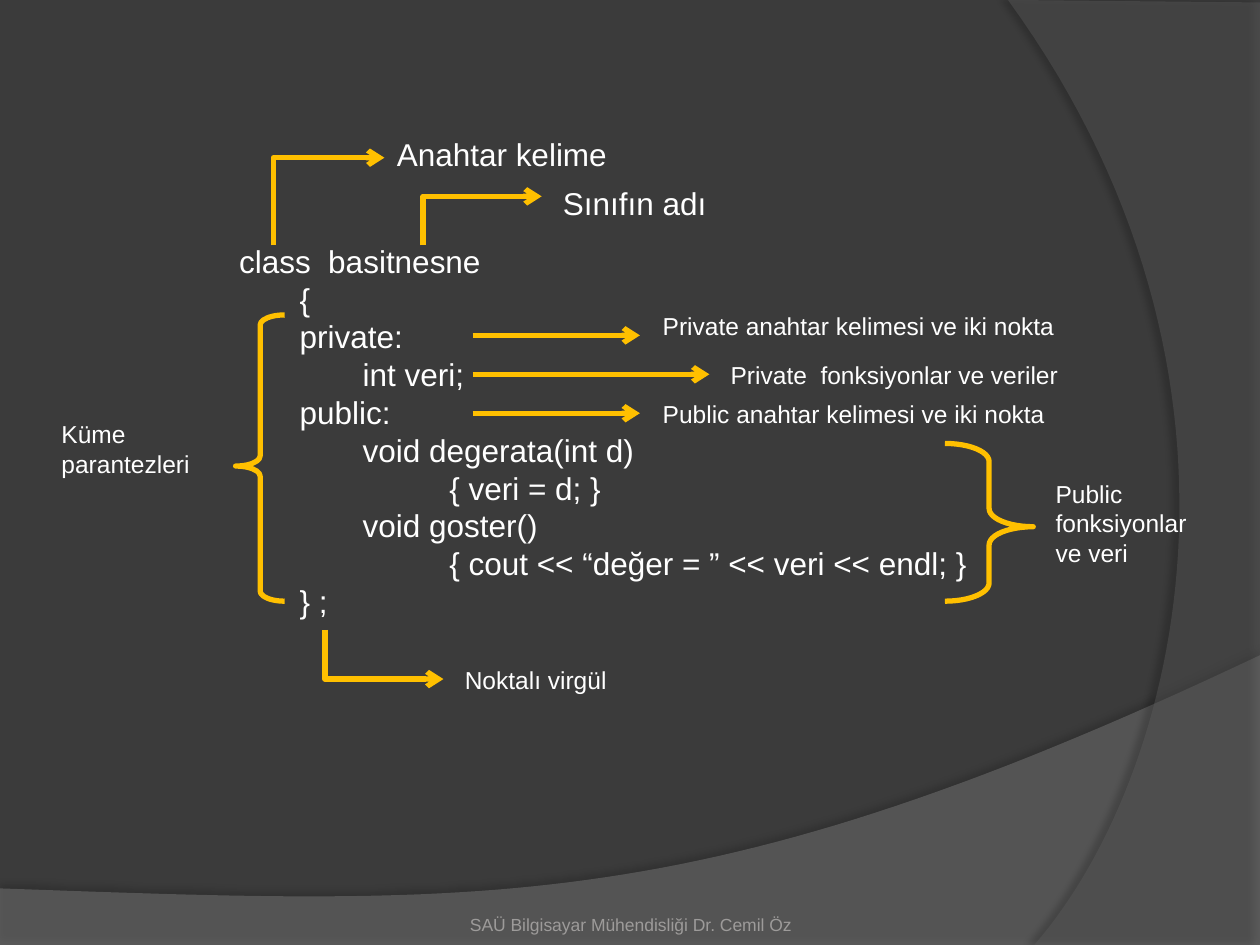
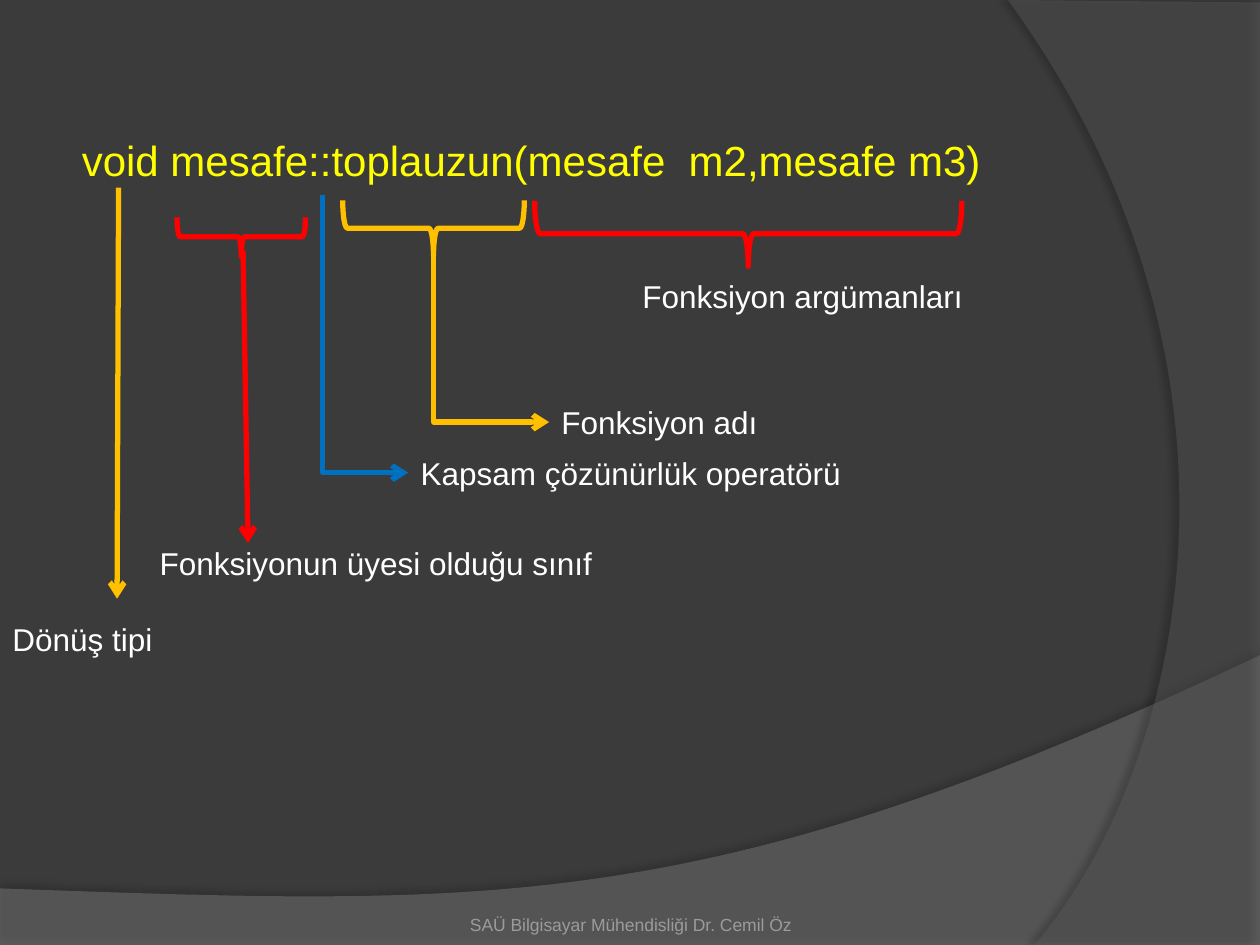
from lxml import etree
from pptx import Presentation
from pptx.dml.color import RGBColor
from pptx.enum.shapes import MSO_CONNECTOR, MSO_SHAPE
from pptx.enum.text import MSO_ANCHOR, PP_ALIGN
from pptx.oxml.ns import qn
from pptx.util import Cm, Pt

LINE = MSO_CONNECTOR.STRAIGHT
ELBOW = MSO_CONNECTOR.ELBOW
LEFT = MSO_SHAPE.LEFT_BRACE
RIGHT = MSO_SHAPE.RIGHT_BRACE
TOP, BOTTOM = MSO_ANCHOR.TOP, MSO_ANCHOR.BOTTOM
START, CENTER = PP_ALIGN.LEFT, PP_ALIGN.CENTER

FONT = "Arial"
BACK, WHITE, GREY = "3B3B3B", "FFFFFF", "9D9B9A"
GOLD, RED, BLUE, YELLOW = "FFC000", "FF0000", "0070C0", "FFFF00"
WIDTH, HEIGHT = 25.4, 19.05
FOOTER = "SAÜ Bilgisayar Mühendisliği Dr. Cemil Öz"
TABS = (1.22, 2.49, 4.24)
CODE = """class  basitnesne
\t{
\tprivate:
\t\tint veri;
\tpublic:
\t\tvoid degerata(int d)
\t\t\t{ veri = d; }
\t\tvoid goster()
\t\t\t{ cout << “değer = ” << veri << endl; }
\t} ;"""


def color(code):
    return RGBColor.from_string(code)


def child(node, tag, **attrs):
    return etree.SubElement(node, qn(tag), {k: str(v) for k, v in attrs.items()})


def shift(box, x, y):
    return box[0] + x, box[1] + y


def write(slide, text, spot, size, pt=18, ink=WHITE, align=START,
          anchor=TOP, inset=None, tabs=()):
    frame = slide.shapes.add_textbox(*map(Cm, spot + size)).text_frame
    frame.word_wrap = True
    frame.vertical_anchor = anchor
    if inset:
        (frame.margin_left, frame.margin_top,
         frame.margin_right, frame.margin_bottom) = map(Cm, inset)
    for i, line in enumerate(text.split("\n")):
        para = frame.add_paragraph() if i else frame.paragraphs[0]
        para.alignment = align
        if tabs:
            stops = child(para._p.get_or_add_pPr(), "a:tabLst")
            for stop in tabs:
                child(stops, "a:tab", pos=Cm(stop), algn="l")
        run = para.add_run()
        run.text = line
        run.font.name = FONT
        run.font.size = Pt(pt)
        run.font.color.rgb = color(ink)


def arrow(slide, start, end, ink=GOLD, kind=LINE):
    link = slide.shapes.add_connector(kind, *map(Cm, start + end))
    link.line.color.rgb = color(ink)
    link.line.width = Pt(3)
    props = link._element.spPr
    child(props.find(qn("a:ln")), "a:tailEnd", type="arrow")
    child(props, "a:effectLst")
    if kind == ELBOW:
        guides = props.find(qn("a:prstGeom")).get_or_add_avLst()
        child(guides, "a:gd", name="adj1", fmla="val 0")


def brace(slide, spot, size, ink=GOLD, kind=LEFT, bend=None, down=False):
    (x, y), (w, h) = spot, size
    if down:
        x, y, w, h = x + (w - h) / 2, y + (h - w) / 2, h, w
    shape = slide.shapes.add_shape(kind, Cm(x), Cm(y), Cm(w), Cm(h))
    shape.rotation = 270 if down else 0
    shape.shadow.inherit = False
    shape.fill.background()
    shape.line.color.rgb = color(ink)
    shape.line.width = Pt(3)
    if bend:
        shape.adjustments[0], shape.adjustments[1] = bend


def curve(a, b, c, d, steps=60):
    for i in range(1, steps + 1):
        t = i / steps
        s = 1 - t
        yield tuple(s**3 * p + 3 * s * s * t * q + 3 * s * t * t * r + t**3 * v
                    for p, q, r, v in zip(a, b, c, d))


def band(slide, edge, bow, ink, alpha, shade, dist, angle):
    points = [*edge, *curve(edge[-1], *bow)]
    first, *rest = [(Cm(x), Cm(y)) for x, y in points]
    path = slide.shapes.build_freeform(*first)
    path.add_line_segments(rest, close=True)
    shape = path.convert_to_shape()
    shape.line.fill.background()
    shape.fill.solid()
    shape.fill.fore_color.rgb = color(ink)
    shape.shadow.inherit = False
    props = shape._element.spPr
    tint = props.find(qn("a:solidFill"))[0]
    child(tint, "a:alpha", val=alpha * 1000)
    cast = child(props.find(qn("a:effectLst")), "a:outerShdw", blurRad=Pt(4),
                 dist=Pt(dist), dir=angle * 60000, algn="ctr", rotWithShape=0)
    dark = child(cast, "a:srgbClr", val="000000")
    child(dark, "a:alpha", val=shade * 1000)


def base(deck):
    slide = deck.slides.add_slide(deck.slide_layouts[6])
    fill = slide.background.fill
    fill.solid()
    fill.fore_color.rgb = color(BACK)
    band(slide, [(0, 17.91), (0, HEIGHT), (WIDTH, HEIGHT), (WIDTH, 13.21)],
         [(14.2, 18.52), (9.93, 18.26), (0, 17.91)], "7F7F7F", 45, 35, 3.5, 270)
    band(slide, [(WIDTH, 0.05), (WIDTH, HEIGHT), (20.85, HEIGHT)],
         [(23.75, 15.72), (25.86, 7.62), (20.32, 0)], "5E5E5E", 40, 45, 4, 180)
    write(slide, FOOTER, (8.69, 17.83), (8.05, 1.02), pt=10, ink=GREY,
          align=CENTER, anchor=BOTTOM, inset=(0, 0.13, 0, 0))
    return slide


def class_parts(slide, box):
    write(slide, CODE, shift(box, 3.58, 2.16), (17.27, 8.71), tabs=TABS)
    for start, end in (((7.54, 2.36), (9.93, 1.37)),
                       ((4.52, 2.36), (6.76, 0.59)),
                       ((5.56, 10.11), (7.95, 11.1))):
        arrow(slide, shift(box, *start), shift(box, *end), kind=ELBOW)
    for text, x, y in (("Anahtar kelime", 6.76, 0), ("Sınıfın adı", 10.11, 0.99)):
        write(slide, text, shift(box, x, y), (4.95, 1.02))
    for i, tip in enumerate((11.91, 13.31, 11.91)):
        y = 4.17 + 0.785 * i
        arrow(slide, shift(box, 8.54, y), shift(box, tip, y))
    for text, x, y, w, h in (
            ("Private anahtar kelimesi ve iki nokta", 12.12, 3.56, 9.12, 0.86),
            ("Private  fonksiyonlar ve veriler", 13.49, 4.55, 9.12, 0.86),
            ("Public anahtar kelimesi ve iki nokta", 12.12, 5.33, 9.12, 0.86),
            ("Public fonksiyonlar ve veri", 20.04, 6.94, 3.38, 2.06),
            ("Küme parantezleri", 0, 5.74, 3.38, 1.45),
            ("Noktalı virgül", 8.13, 10.69, 9.12, 0.86)):
        write(slide, text, shift(box, x, y), (w, h), pt=14)
    bend = (0.206, 0.528)
    brace(slide, shift(box, 18.06, 6.35), (1.78, 3.18), kind=RIGHT, bend=bend)
    brace(slide, shift(box, 3.76, 3.76), (0.99, 5.77), bend=bend)


def method_parts(slide, box):
    write(slide, "void mesafe::toplauzun(mesafe  m2,mesafe m3)",
          shift(box, 1.4, 0), (23.01, 1.27), pt=24, ink=YELLOW)
    for x, y, w, h, ink in ((3.57, 1.79, 2.59, 0.79, RED),
                            (6.91, 1.45, 3.66, 1.12, GOLD),
                            (10.78, 1.46, 8.61, 1.32, RED)):
        brace(slide, shift(box, x, y), (w, h), ink=ink, down=True)
    for start, end, ink, kind in (
            ((2.39, 1.19), (2.36, 9.48), GOLD, LINE),
            ((4.9, 2.46), (5, 8.36), RED, LINE),
            ((6.5, 1.35), (8.23, 6.94), BLUE, ELBOW),
            ((8.74, 2.26), (11.07, 5.92), GOLD, ELBOW)):
        arrow(slide, shift(box, *start), shift(box, *end), ink, kind)
    for text, x, y, w in (
            ("Dönüş tipi", 0, 9.78, 4.17),
            ("Fonksiyonun üyesi olduğu sınıf", 2.97, 8.26, 9.73),
            ("Kapsam çözünürlük operatörü", 8.23, 6.43, 9.73),
            ("Fonksiyon adı", 11.07, 5.41, 9.73),
            ("Fonksiyon argümanları", 12.7, 2.87, 9.73)):
        write(slide, text, shift(box, x, y), (w, 1.02))


def main():
    deck = Presentation()
    deck.slide_width, deck.slide_height = Cm(WIDTH), Cm(HEIGHT)
    class_parts(base(deck), (0.99, 2.59))
    method_parts(base(deck), (0, 2.59))
    deck.save("out.pptx")


if __name__ == "__main__":
    main()
